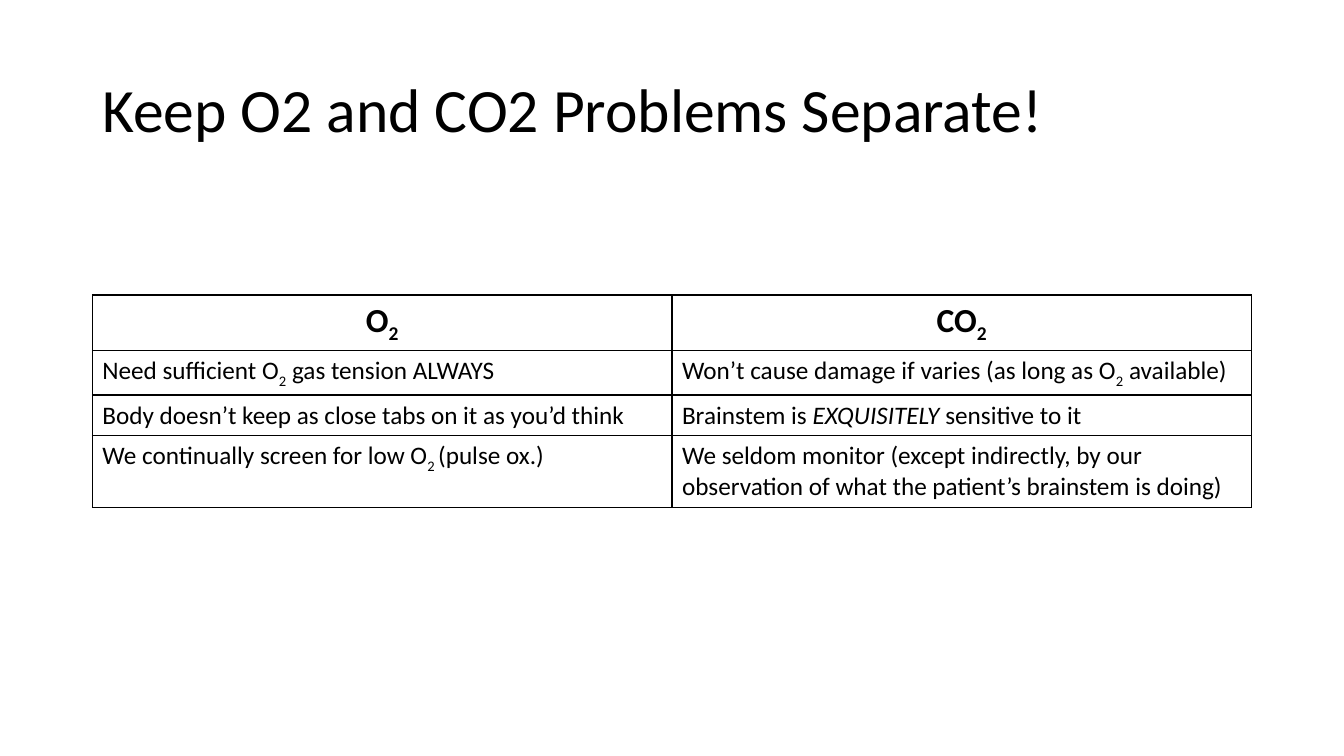
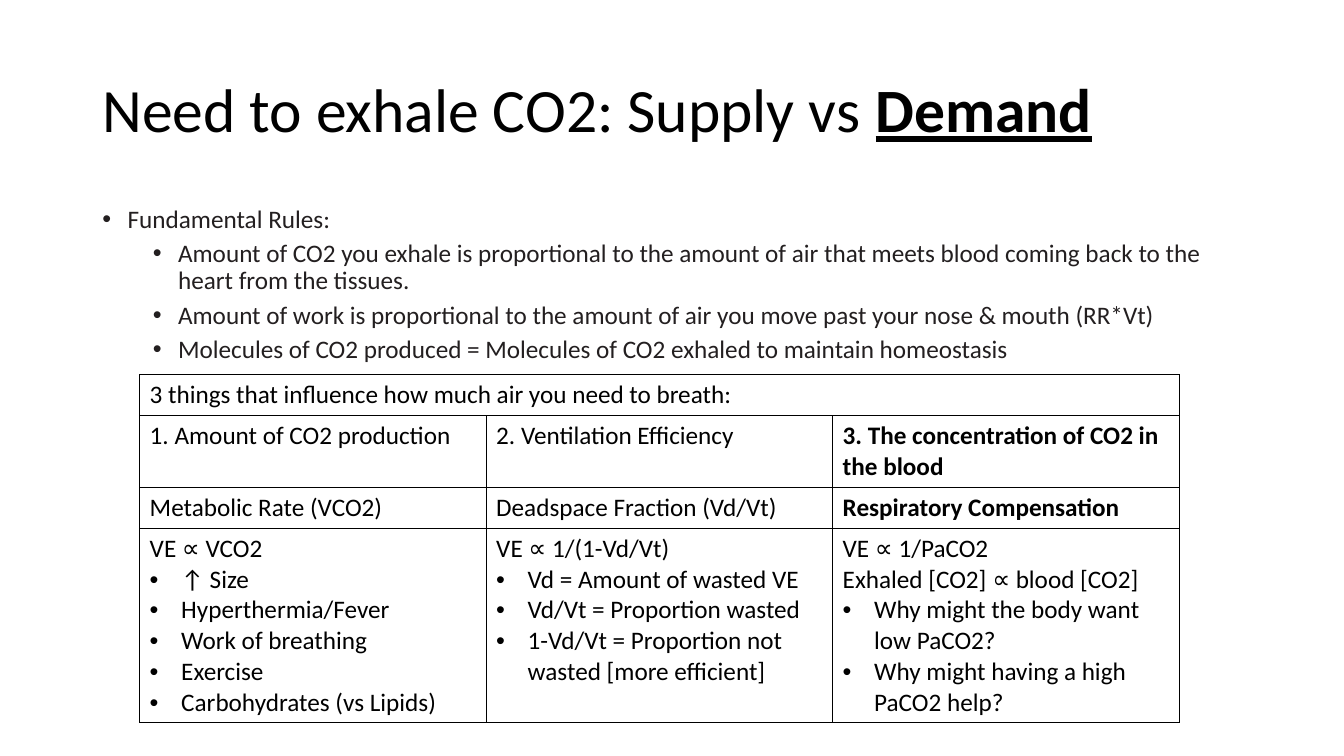
from dataclasses import dataclass

from lxml.etree import SubElement as sub
from pptx import Presentation
from pptx.dml.color import RGBColor
from pptx.enum.text import MSO_ANCHOR as Anchor, MSO_AUTO_SIZE as Fit, PP_ALIGN as Align
from pptx.oxml.ns import qn
from pptx.util import Emu, Pt

SCALE = 9525
FONT = "Calibri"
BLACK = "000000"
INK = "231F20"
LEFT, WIDTH = 88, 1104
TITLE, BODY = 44, 18
STEP = 24
NEST = 48
HANG = 30


@dataclass(frozen=True)
class Run:
    text: str
    bold: bool = False
    ital: bool = False
    under: bool = False
    low: bool = False


@dataclass(frozen=True)
class Para:
    runs: tuple[Run, ...]
    size: int = BODY
    color: str = BLACK
    align: Align = Align.LEFT
    level: int = 0
    left: int = 0
    hang: int = 0
    line: float = 1.0
    gap: int = 0


Cell = list[Para]


def px(num: int) -> Emu:
    return Emu(num * SCALE)


def rgb(code: str) -> RGBColor:
    return RGBColor.from_string(code)


def para(*parts: str | Run, **look) -> Para:
    return Para(tuple(Run(p) if isinstance(p, str) else p for p in parts), **look)


def bold(text: str) -> Run:
    return Run(text, bold=True)


def low(text: str = "2") -> Run:
    return Run(text, low=True)


def dot(text: str) -> Para:
    return para(text, left=HANG, hang=HANG)


def rule(text: str, level: int = 1) -> Para:
    return para(text, color=INK, level=level, left=STEP + NEST * level,
                hang=STEP, line=0.9, gap=5 * level)


def write(frame, paras: list[Para]) -> None:
    for i, item in enumerate(paras):
        p = frame.paragraphs[0] if i == 0 else frame.add_paragraph()
        if item.hang:
            prop = p._p.get_or_add_pPr()
            prop.set("marL", str(px(item.left)))
            prop.set("indent", str(px(-item.hang)))
            sub(prop, qn("a:buFont")).set("typeface", "Arial")
            sub(prop, qn("a:buChar")).set("char", "•")
        p.level = item.level
        p.alignment = item.align
        p.line_spacing = item.line
        p.space_before = Pt(item.gap)
        for part in item.runs:
            run = p.add_run()
            run.text = part.text
            font = run.font
            font.name, font.size = FONT, Pt(item.size)
            font.color.rgb = rgb(item.color)
            font.bold, font.italic, font.underline = part.bold, part.ital, part.under
            if part.low:
                run._r.get_or_add_rPr().set("baseline", "-25000")


def fill(shape, top: int, high: int, anchor: Anchor, paras: list[Para]) -> None:
    """Place a full-width placeholder and write its text."""
    shape.left, shape.top = px(LEFT), px(top)
    shape.width, shape.height = px(WIDTH), px(high)
    frame = shape.text_frame
    frame.word_wrap = True
    frame.auto_size = Fit.NONE
    frame.vertical_anchor = anchor
    write(frame, paras)


def start(deck, layout: int, *parts: str | Run):
    """Add a slide with the shared title style."""
    slide = deck.slides.add_slide(deck.slide_layouts[layout])
    fill(slide.shapes.title, 38, 139, Anchor.MIDDLE,
         [para(*parts, size=TITLE, line=0.9)])
    return slide


def edge(cell) -> None:
    prop = cell._tc.get_or_add_tcPr()
    for i, side in enumerate(("lnL", "lnR", "lnT", "lnB")):
        line = prop.makeelement(qn(f"a:{side}"), {"w": str(Pt(1))})
        tint = sub(sub(line, qn("a:solidFill")), qn("a:srgbClr"))
        tint.set("val", BLACK)
        prop.insert(i, line)


def grid(slide, left: int, top: int, wide: int, highs: list[int],
         rows: list[list[Cell]]):
    """Draw a ruled table with equal columns; a short row spans the rest."""
    count = max(map(len, rows))
    table = slide.shapes.add_table(len(rows), count, px(left), px(top),
                                   px(wide * count), px(sum(highs))).table
    table.first_row = table.horz_banding = False
    for col in table.columns:
        col.width = px(wide)
    for r, (high, row) in enumerate(zip(highs, rows)):
        table.rows[r].height = px(high)
        for c in range(count):
            cell = table.cell(r, c)
            cell.fill.background()
            edge(cell)
            if c < len(row):
                write(cell.text_frame, row[c])
        if len(row) < count:
            table.cell(r, len(row) - 1).merge(table.cell(r, count - 1))


def gases(deck) -> None:
    slide = start(deck, 5, "Keep O2 and CO2 Problems Separate!")
    heads = [[para(bold(name), Run("2", bold=True, low=True), size=24,
                   align=Align.CENTER)] for name in ("O", "CO")]
    grid(slide, LEFT, 281, WIDTH // 2, [39] * 4, [
        heads,
        [[para("Need sufficient O", low(), " gas tension ALWAYS")],
         [para("Won’t cause damage if varies (as long as O", low(), " available)")]],
        [[para("Body doesn’t keep as close tabs on it as you’d think")],
         [para("Brainstem is", Run(" EXQUISITELY ", ital=True), "sensitive to it")]],
        [[para("We continually screen for low O", low("2 "), "(pulse ox.)")],
         [para("We seldom monitor (except indirectly, by our observation "
               "of what the patient’s brainstem is doing)")]],
    ])


def demand(deck) -> None:
    slide = start(deck, 1, "Need to exhale CO2: Supply vs ",
                  Run("Demand", bold=True, under=True))
    fill(slide.placeholders[1], 192, 457, Anchor.TOP, [
        rule("Fundamental Rules:", 0),
        rule("Amount of CO2 you exhale is proportional to the amount of air "
             "that meets blood coming back to the heart from the tissues."),
        rule("Amount of work is proportional to the amount of air you move "
             "past your nose & mouth (RR*Vt)"),
        rule("Molecules of CO2 produced = Molecules of CO2 exhaled "
             "to maintain homeostasis"),
    ])
    grid(slide, 133, 357, 330, [35, 60, 23, 165], [
        [[para("3 things that influence how much air you need to breath:")]],
        [[para("1. Amount of CO2 production")],
         [para("2. Ventilation Efficiency")],
         [para(bold("3. The concentration of CO2 in the blood"))]],
        [[para("Metabolic Rate (VCO2)")],
         [para("Deadspace Fraction (Vd/Vt)")],
         [para(bold("Respiratory Compensation"))]],
        [[para("VE ∝ VCO2"), dot("↑ Size"), dot("Hyperthermia/Fever"),
          dot("Work of breathing"), dot("Exercise"),
          dot("Carbohydrates (vs Lipids)")],
         [para("VE ∝ 1/(1-Vd/Vt)"), dot("Vd = Amount of wasted VE"),
          dot("Vd/Vt = Proportion wasted"),
          dot("1-Vd/Vt = Proportion not wasted [more efficient]")],
         [para("VE ∝ 1/PaCO2"), para("Exhaled [CO2] ∝ blood [CO2]"),
          dot("Why might the body want low PaCO2?"),
          dot("Why might having a high PaCO2 help?")]],
    ])


def main() -> None:
    deck = Presentation()
    deck.slide_width, deck.slide_height = px(1280), px(720)
    gases(deck)
    demand(deck)
    deck.save("out.pptx")


if __name__ == "__main__":
    main()
